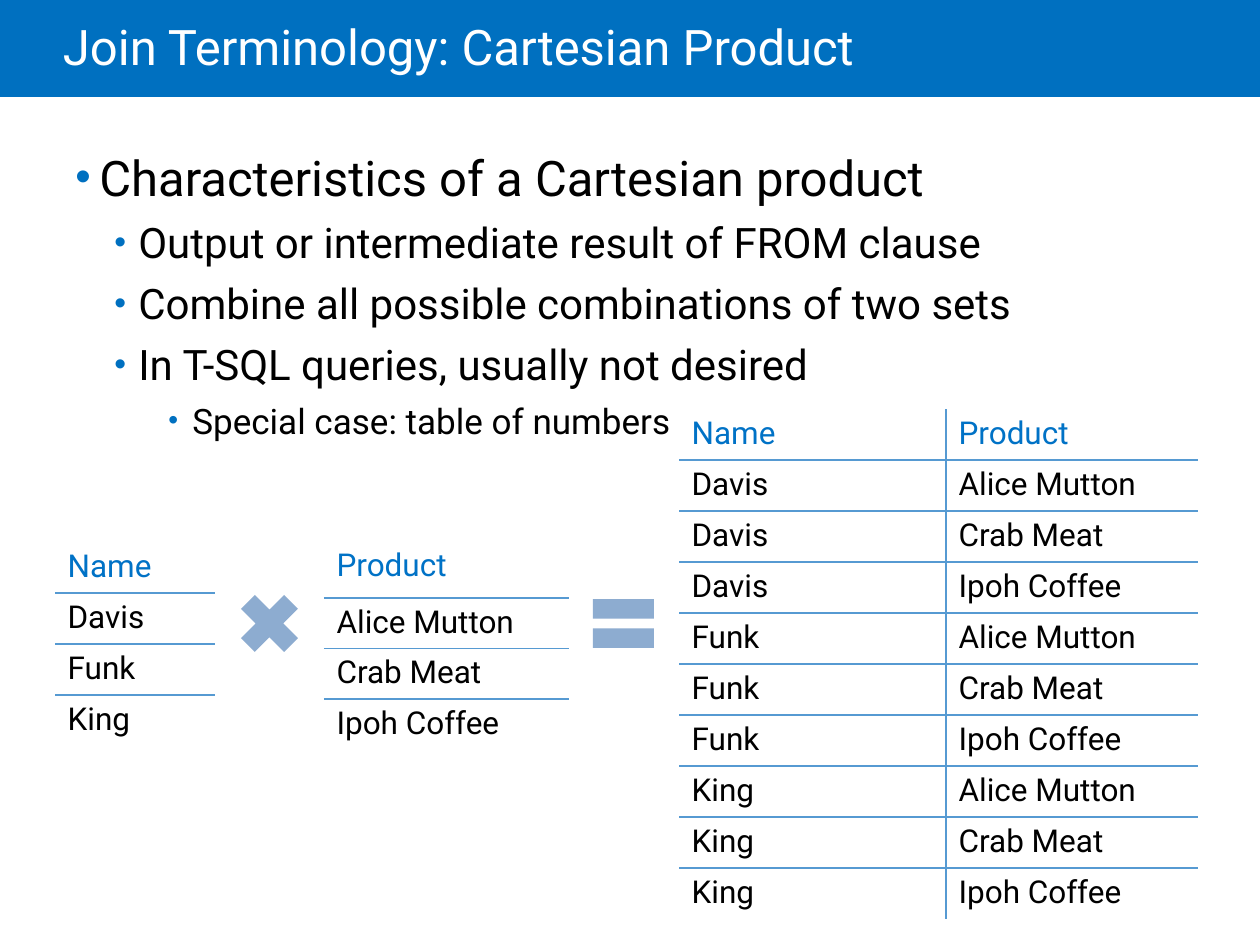
from dataclasses import dataclass
from itertools import product

from lxml import etree
from pptx import Presentation
from pptx import util as u
from pptx.dml.color import RGBColor
from pptx.enum import shapes, text
from pptx.oxml import ns


@dataclass(frozen=True)
class Theme:
    font: str = "Roboto"
    band: str = "0070C0"
    paper: str = "FFFFFF"
    ink: str = "000000"
    heading: str = "0072C6"
    rule: str = "569AD2"
    symbol: str = "8DACD0"
    title_size: int = 28
    body_sizes: tuple = (28, 24, 20)
    table_size: int = 18


THEME = Theme()
PLAIN_TABLE = "{2D5ABB26-0587-4C30-8999-92F81FD0307C}"
NAMES = ["Davis", "Funk", "King"]
PRODUCTS = ["Alice Mutton", "Crab Meat", "Ipoh Coffee"]
POINTS = [
    (0, "Characteristics of a Cartesian product"),
    (1, "Output or intermediate result of FROM clause"),
    (1, "Combine all possible combinations of two sets"),
    (1, "In T-SQL queries, usually not desired"),
    (2, "Special case: table of numbers"),
]


def px(length):
    return u.Emu(round(length * 914400 / 126))


def place(box):
    return [px(length) for length in box]


def add_element(parent, tag, **attributes):
    values = {name: str(value) for name, value in attributes.items()}
    return etree.SubElement(parent, ns.qn(tag), values)


def write(para, words, size, color=THEME.ink, spacing=None, before=None):
    span = para.add_run()
    span.text = words
    span.font.name = THEME.font
    span.font.size = u.Pt(size)
    span.font.bold = False
    span.font.color.rgb = RGBColor.from_string(color)
    if spacing is not None:
        para.line_spacing = spacing
    if before is not None:
        para.space_before = u.Pt(before)


def add_filled(page, kind, box, color):
    shape = page.shapes.add_shape(kind, *place(box))
    shape.shadow.inherit = False
    shape.fill.solid()
    shape.fill.fore_color.rgb = RGBColor.from_string(color)
    shape.line.fill.background()


def add_frame(page, box):
    frame = page.shapes.add_textbox(*place(box)).text_frame
    frame.word_wrap = True
    return frame


def add_bullet(para, margin, size):
    props = para._p.get_or_add_pPr()
    props.set("marL", str(px(margin)))
    props.set("indent", str(-px(24)))
    color = add_element(props, "a:buClr")
    add_element(color, "a:srgbClr", val=THEME.band)
    add_element(props, "a:buSzPct", val=size * 1000)
    add_element(props, "a:buFont", typeface="Arial")
    add_element(props, "a:buChar", char="•")


def add_title(page, box, words):
    left, top, width, height = box
    add_filled(page, shapes.MSO_SHAPE.RECTANGLE, box, THEME.band)
    frame = add_frame(page, (left + 63, top, width - 189, height + 5))
    frame.margin_left = 0
    frame.vertical_anchor = text.MSO_ANCHOR.MIDDLE
    write(frame.paragraphs[0], words, THEME.title_size, THEME.paper, spacing=0.85)


def add_points(page, box, points):
    frame = add_frame(page, box)
    for index, (level, words) in enumerate(points):
        para = frame.add_paragraph() if index else frame.paragraphs[0]
        para.level = level
        write(para, words, THEME.body_sizes[level], before=6)
        add_bullet(para, (24, 63, 117)[level], 80 if level else 90)


def rule_cell(cell, edges):
    props = cell._tc.get_or_add_tcPr()
    for tag, shown in edges.items():
        line = add_element(props, tag, w=u.Pt(1))
        if shown:
            fill = add_element(line, "a:solidFill")
            add_element(fill, "a:srgbClr", val=THEME.rule)
        else:
            add_element(line, "a:noFill")


def add_grid(page, corner, widths, heights, rows):
    box = (*corner, sum(widths), sum(heights))
    frame = page.shapes.add_table(len(rows), len(widths), *place(box))
    table = frame.table
    table.horz_banding = False
    table._tbl.tblPr.find(ns.qn("a:tableStyleId")).text = PLAIN_TABLE
    for column, width in zip(table.columns, widths):
        column.width = px(width)
    for row, height in zip(table.rows, heights):
        row.height = px(height)
    for r, c in product(range(len(rows)), range(len(widths))):
        cell = table.cell(r, c)
        rule_cell(cell, {
            "a:lnL": c > 0,
            "a:lnR": c < len(widths) - 1,
            "a:lnT": r > 0,
            "a:lnB": r < len(rows) - 1,
        })
        cell.fill.solid()
        cell.fill.fore_color.rgb = RGBColor.from_string(THEME.paper)
        color = THEME.ink if r else THEME.heading
        write(cell.text_frame.paragraphs[0], rows[r][c], THEME.table_size, color)


def add_equation(page, box):
    left, top = box[:2]
    names = [("Name",)] + [(name,) for name in NAMES]
    products = [("Product",)] + [(item,) for item in PRODUCTS]
    pairs = [("Name", "Product"), *product(NAMES, PRODUCTS)]
    add_grid(page, (left + 269, top + 132), [245], [57] + [50] * 3, products)
    add_grid(page, (left + 624, top), [267, 252], [51] * 10, pairs)
    add_grid(page, (left, top + 133), [160], [51] * 4, names)
    symbols = shapes.MSO_SHAPE.MATH_MULTIPLY, shapes.MSO_SHAPE.MATH_EQUAL
    for offset, kind in zip((173, 527), symbols):
        add_filled(page, kind, (left + offset, top + 173, 83, 83), THEME.symbol)


def main():
    deck = Presentation()
    deck.slide_width, deck.slide_height = px(1260), px(945)
    page = deck.slides.add_slide(deck.slide_layouts[6])
    add_title(page, (0, 0, 1260, 97), "Join Terminology: Cartesian Product")
    add_points(page, (63, 141, 1119, 709), POINTS)
    add_equation(page, (55, 409, 1143, 511))
    deck.save("out.pptx")


if __name__ == "__main__":
    main()
